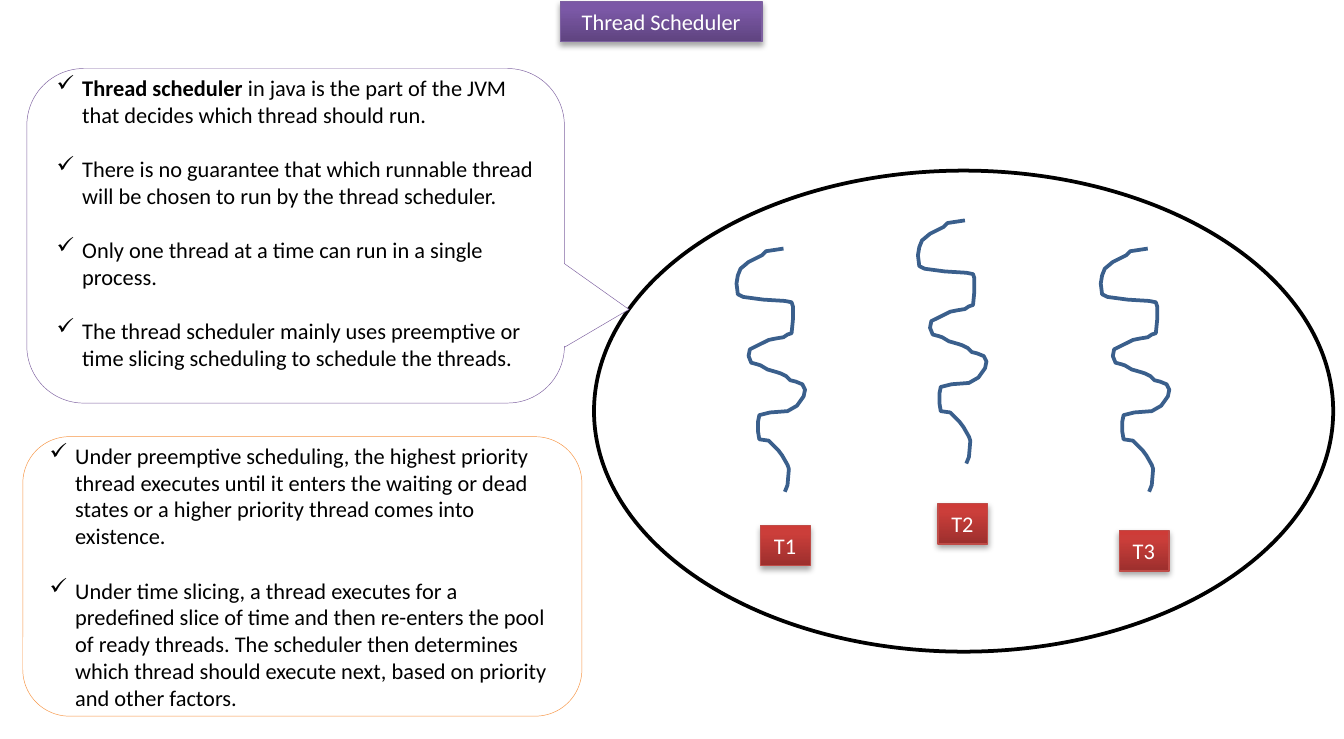
from dataclasses import dataclass

from lxml.etree import SubElement
from pptx import Presentation
from pptx.dml.color import RGBColor
from pptx.enum.shapes import MSO_SHAPE
from pptx.enum.text import MSO_ANCHOR, MSO_AUTO_SIZE, PP_ALIGN
from pptx.oxml import parse_xml
from pptx.oxml.ns import nsdecls, qn
from pptx.util import Inches, Pt


@dataclass(frozen=True)
class Theme:
    font: str = "Calibri"
    size: float = 12
    line_gap: float = 14.65  # one text line, in points
    hang: float = 0.19  # bullet indent, in inches
    ink: str = "000000"
    paper: str = "FFFFFF"
    thread: str = "3A5F8C"
    callout: str = "8064A2"
    note: str = "F79646"
    purple: tuple = ("7D60A0", "5F4480", "7B58A6", "7C57A8")  # line, then gradient
    red: tuple = ("BF4C48", "9C2F2D", "CB3E3A", "CE3B37")


T = Theme()
COLS, ROWS = 100, 55
CELL = Inches(0.1)

# One thread's wavy outline, in tenths of a cell from its top left corner
WAVE = [
    (35, 0), (22, 2), (19, 5), (15, 7), (9, 10), (3, 15), (1, 20), (0, 26),
    (1, 34), (5, 36), (20, 38), (36, 39), (41, 40), (42, 43), (42, 53),
    (41, 63), (38, 64), (35, 66), (29, 67), (24, 68), (16, 72), (10, 75),
    (9, 80), (11, 85), (15, 86), (18, 87), (23, 90), (30, 92), (33, 93),
    (37, 95), (40, 98), (44, 99), (49, 101), (51, 105), (50, 110), (45, 117),
    (38, 121), (25, 122), (17, 124), (16, 129), (16, 136), (17, 142),
    (24, 143), (31, 150), (34, 154), (38, 161), (39, 164), (38, 176), (36, 181),
]

# Name, wave (column, row), label (column, row)
THREADS = [
    ("T1", (54.8, 18.5), (56.6, 39.1)),
    ("T2", (68.3, 16.4), (69.8, 37.5)),
    ("T3", (81.9, 18.5), (83.3, 39.5)),
]

SCHEDULER_POINTS = [
    [("Thread scheduler", True),
     (" in java is the part of the JVM that decides which thread should run.", False)],
    [("There is no guarantee that which runnable thread will be chosen to run "
      "by the thread scheduler.", False)],
    [("Only one thread at a time can run in a single process.", False)],
    [("The thread scheduler mainly uses preemptive or time slicing scheduling "
      "to schedule the threads.", False)],
]
POLICY_POINTS = [
    [("Under preemptive scheduling, the highest priority thread executes until it "
      "enters the waiting or dead states or a higher priority thread comes into "
      "existence.", False)],
    [("Under time slicing, a thread executes for a predefined slice of time and then "
      "re-enters the pool of ready threads. The scheduler then determines which thread "
      "should execute next, based on priority and other factors.", False)],
]


def cells(*values):
    return [round(v * CELL) for v in values]


def outline(sp, color, width):
    sp.shadow.inherit = False
    sp.line.color.rgb = RGBColor.from_string(color)
    sp.line.width = Pt(width)


def add_box(s, kind, place, line, width, adjustments=()):
    sp = s.shapes.add_shape(kind, *cells(*place))
    for i, value in enumerate(adjustments):
        sp.adjustments[i] = value
    sp.fill.solid()
    sp.fill.fore_color.rgb = RGBColor.from_string(T.paper)
    outline(sp, line, width)
    return sp


def write(p, text, *, color=T.ink, bold=False, align=PP_ALIGN.LEFT):
    p.alignment = align
    r = p.add_run()
    r.text = text
    r.font.name, r.font.size, r.font.bold = T.font, Pt(T.size), bold
    r.font.color.rgb = RGBColor.from_string(color)


def add_checklist(sp, points):
    tf = sp.text_frame
    tf.word_wrap = True
    tf.vertical_anchor = MSO_ANCHOR.MIDDLE
    for i, runs in enumerate(points):
        p = tf.paragraphs[0] if i == 0 else tf.add_paragraph()
        pPr = p._p.get_or_add_pPr()
        pPr.set("marL", str(Inches(T.hang)))
        pPr.set("indent", str(-Inches(T.hang)))
        SubElement(pPr, qn("a:buChar")).set("char", "✓")
        if i:
            p.space_before = Pt(T.line_gap)
        for text, bold in runs:
            write(p, text, bold=bold)


def add_tag(s, text, place, colors, wrap=False, align=PP_ALIGN.LEFT):
    """Label with a vertical gradient and a soft drop shadow."""
    line, *shades = colors
    sp = add_box(s, MSO_SHAPE.RECTANGLE, place, line, 0.75)
    stops = "".join(
        f'<a:gs pos="{pos}000"><a:srgbClr val="{shade}"/></a:gs>'
        for pos, shade in zip((0, 80, 100), shades)
    )
    spPr = sp._element.spPr
    spPr.replace(spPr.find(qn("a:solidFill")), parse_xml(
        f'<a:gradFill {nsdecls("a")} rotWithShape="1"><a:gsLst>{stops}</a:gsLst>'
        '<a:lin ang="16200000" scaled="0"/></a:gradFill>'))
    spPr.find(qn("a:effectLst")).append(parse_xml(
        f'<a:outerShdw {nsdecls("a")} blurRad="40000" dist="23000" dir="5400000" '
        'rotWithShape="0"><a:srgbClr val="000000"><a:alpha val="35000"/></a:srgbClr>'
        '</a:outerShdw>'))
    tf = sp.text_frame
    tf.word_wrap = wrap
    tf.auto_size = MSO_AUTO_SIZE.SHAPE_TO_FIT_TEXT
    tf.vertical_anchor = MSO_ANCHOR.TOP
    write(tf.paragraphs[0], text, color=T.paper, align=align)


def add_wave(s, col, row):
    builder = s.shapes.build_freeform(*WAVE[0], scale=CELL / 10)
    builder.add_line_segments(WAVE[1:], close=False)
    sp = builder.convert_to_shape(*cells(col, row))
    sp.fill.background()
    outline(sp, T.thread, 2)
    SubElement(sp.line._get_or_add_ln(), qn("a:round"))


def main():
    prs = Presentation()
    prs.slide_width, prs.slide_height = COLS * CELL, ROWS * CELL
    s = prs.slides.add_slide(prs.slide_layouts[6])

    # Process with its threads
    add_box(s, MSO_SHAPE.OVAL, (44.2, 12.7, 55, 35.8), T.ink, 2)
    add_tag(s, "Thread Scheduler", (41.7, 0.1, 15, 3), T.purple, True, PP_ALIGN.CENTER)
    for name, wave, label in THREADS:
        add_wave(s, *wave)
        add_tag(s, name, (*label, 3.7, 3), T.red)

    # Explanations; the callout keeps one line free at the bottom
    callout = add_box(s, MSO_SHAPE.ROUNDED_RECTANGULAR_CALLOUT, (2, 5.1, 40, 24.9),
                      T.callout, 0.25, (0.62, 0.22, 0.17))
    callout.text_frame.margin_bottom = Inches(0.25)
    add_checklist(callout, SCHEDULER_POINTS)
    note = add_box(s, MSO_SHAPE.ROUNDED_RECTANGLE, (1.7, 32.5, 41.6, 20.8), T.note, 0.25)
    add_checklist(note, POLICY_POINTS)

    prs.save("out.pptx")


if __name__ == "__main__":
    main()
